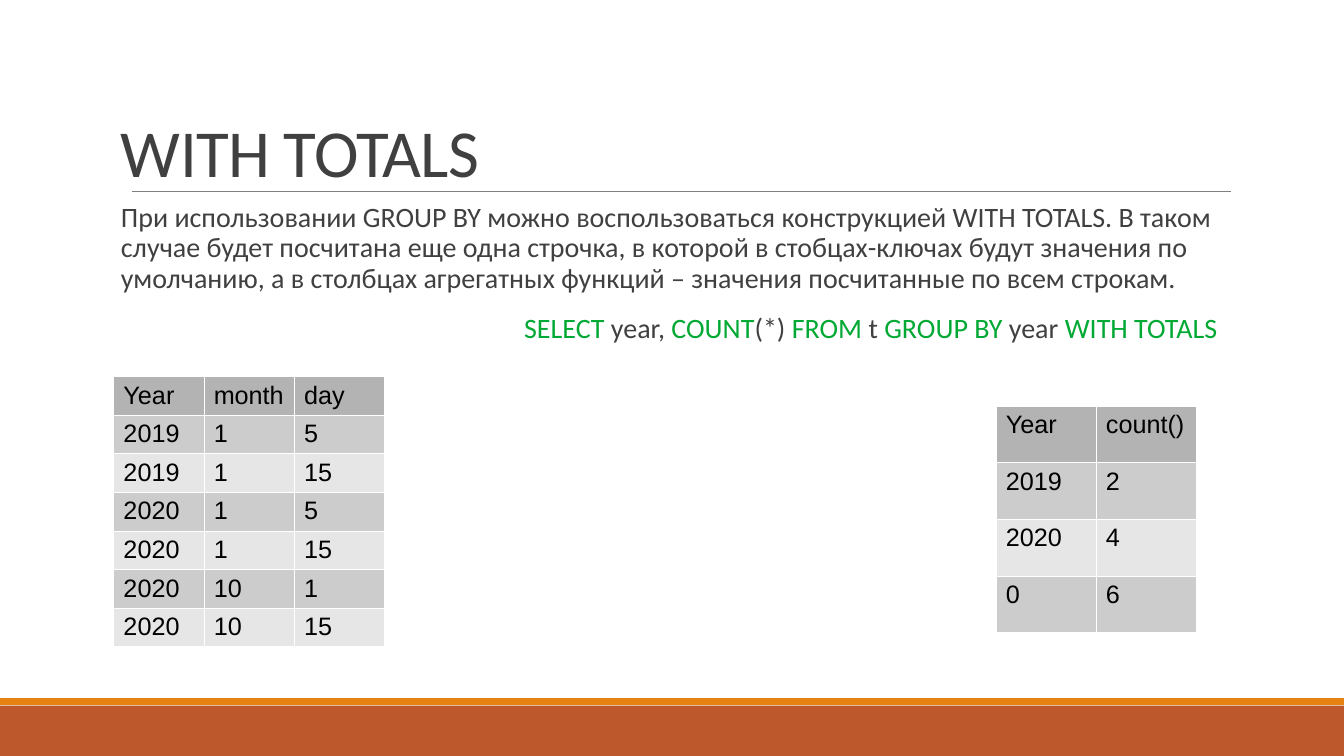
from pptx import Presentation
from pptx.dml.color import RGBColor
from pptx.enum.shapes import MSO_CONNECTOR as Connector, MSO_SHAPE as Shape
from pptx.enum.text import MSO_ANCHOR as Anchor, MSO_AUTO_SIZE as AutoSize, PP_ALIGN as Align
from pptx.oxml import parse_xml
from pptx.oxml.ns import nsdecls
from pptx.util import Pt


def color(value):
    return RGBColor.from_string(value)


class SlideBuilder:
    body_font, table_font = "Calibri", "Arial"
    text, keyword = "404040", "00A933"
    header, bands = "B3B3B3", ("CCCCCC", "E6E6E6")

    def __init__(self, slide):
        self.slide = slide

    def format_font(self, font, name, size, fill):
        font.name, font.size, font.bold = name, Pt(size), False
        font.color.rgb = color(fill)

    def prepare_frame(self, frame, anchor):
        frame.word_wrap, frame.auto_size = True, AutoSize.NONE
        frame.vertical_anchor = anchor
        frame.margin_left = frame.margin_right = 0
        frame.margin_top = frame.margin_bottom = 0

    def bar(self, left, top, width, height, fill):
        shape = self.slide.shapes.add_shape(
            Shape.RECTANGLE, Pt(left), Pt(top), Pt(width), Pt(height))
        shape.shadow.inherit = False
        shape.fill.solid()
        shape.fill.fore_color.rgb = color(fill)
        shape.line.fill.background()

    def rule(self, left, right, top, stroke, weight):
        line = self.slide.shapes.add_connector(
            Connector.STRAIGHT, Pt(left), Pt(top), Pt(right), Pt(top))
        line.line.color.rgb = color(stroke)
        line.line.width = Pt(weight)
        line._element.spPr.append(parse_xml(f"<a:effectLst {nsdecls('a')}/>"))

    def title(self, text, left, top, width, height):
        title = self.slide.shapes.title
        title.left, title.top = Pt(left), Pt(top)
        title.width, title.height = Pt(width), Pt(height)
        title.text_frame.text = text
        self.prepare_frame(title.text_frame, Anchor.BOTTOM)
        paragraph = title.text_frame.paragraphs[0]
        paragraph.alignment, paragraph.line_spacing = Align.LEFT, 0.85
        run = paragraph.runs[0]
        self.format_font(run.font, self.body_font, 48, self.text)
        run.font._element.set("spc", "-50")

    def body(self, paragraphs, left, top, width, height):
        """Each paragraph is an indent and a list of (text, colour) runs."""
        box = self.slide.shapes.add_textbox(Pt(left), Pt(top), Pt(width), Pt(height))
        frame = box.text_frame
        self.prepare_frame(frame, Anchor.TOP)
        for index, (indent, runs) in enumerate(paragraphs):
            paragraph = frame.add_paragraph() if index else frame.paragraphs[0]
            paragraph.line_spacing = 0.9
            paragraph.space_before, paragraph.space_after = Pt(12), Pt(2)
            if indent:
                properties = paragraph._p.get_or_add_pPr()
                properties.set("marL", str(Pt(indent)))
                properties.set("indent", "0")
            for text, fill in runs:
                run = paragraph.add_run()
                run.text = text
                self.format_font(run.font, self.body_font, 20, fill)

    def cell(self, cell, text, fill):
        cell.text = str(text)
        cell.margin_left = cell.margin_right = Pt(7.2)
        cell.margin_top = cell.margin_bottom = Pt(3.6)
        run = cell.text_frame.paragraphs[0].runs[0]
        self.format_font(run.font, self.table_font, 18, "000000")
        properties = cell._tc.get_or_add_tcPr()
        for side in "LRTB":
            properties.append(parse_xml(
                f'<a:ln{side} {nsdecls("a")} w="{Pt(0.06)}"><a:solidFill>'
                f'<a:srgbClr val="FFFFFF"/></a:solidFill></a:ln{side}>'))
        cell.fill.solid()
        cell.fill.fore_color.rgb = color(fill)

    def table(self, rows, left, top, width, height):
        table = self.slide.shapes.add_table(
            len(rows), len(rows[0]), Pt(left), Pt(top), Pt(width), Pt(height)).table
        for row_index, row in enumerate(rows):
            fill = self.bands[(row_index - 1) % 2] if row_index else self.header
            for column_index, text in enumerate(row):
                self.cell(table.cell(row_index, column_index), text, fill)


presentation = Presentation()
presentation.slide_width, presentation.slide_height = Pt(960), Pt(540)
builder = SlideBuilder(presentation.slides.add_slide(presentation.slide_layouts[5]))

# Footer bars and title rule
builder.bar(0, 504, 960, 36, "BD582C")
builder.bar(0, 498.7, 960, 5, "E48312")
builder.rule(94, 879, 136.6, "808080", 0.51)

# Title and explanation with the query
builder.title("WITH TOTALS", 86.4, 22.5, 792, 114.2)
explanation = (
    "При использовании GROUP BY можно воспользоваться конструкцией WITH TOTALS. "
    "В таком случае будет посчитана еще одна строчка, в которой в стобцах-ключах "
    "будут значения по умолчанию, а в столбцах агрегатных функций – значения "
    "посчитанные по всем строкам.")
query = ["SELECT ", "year, ", "COUNT", "(*) ", "FROM", " t ", "GROUP BY ", "year ", "WITH TOTALS"]
query_runs = [(part, builder.text if index % 2 else builder.keyword)
              for index, part in enumerate(query)]
builder.body([(0, [(explanation, builder.text)]), (288, query_runs)],
             86.4, 145.4, 792, 351.4)

# Source rows: every month with every day
dates = [(2019, 1, 5), (2019, 1, 15), (2020, 1, 5),
         (2020, 1, 15), (2020, 10, 1), (2020, 10, 15)]
builder.table([("Year", "month", "day"), *dates], 81, 268.8, 193.5, 193)

# Query result with the totals row
totals = [(2019, 2), (2020, 4), (0, 6)]
builder.table([("Year", "count()"), *totals], 711.3, 289.8, 143, 162)

presentation.save("out.pptx")
